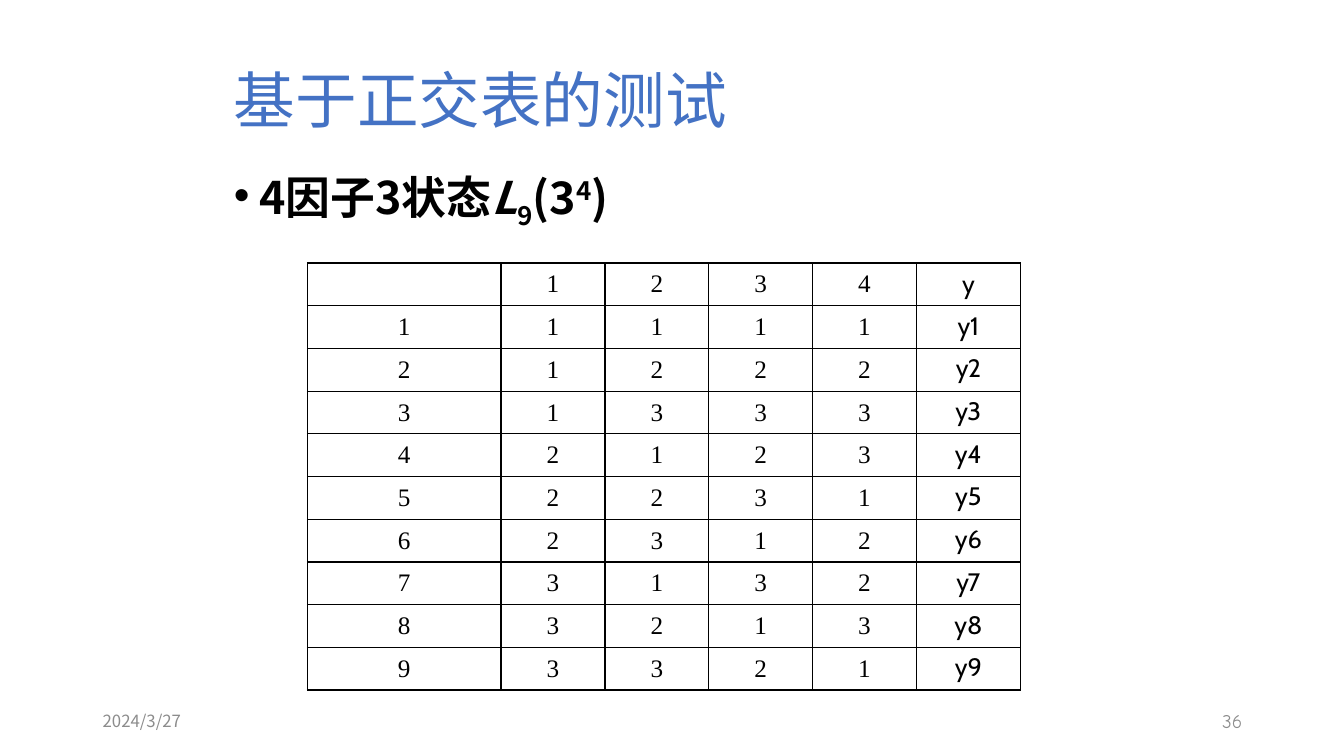
"""Build the slide on tests based on an orthogonal array."""
from lxml import etree
from pptx import Presentation, util as u
from pptx.dml.color import RGBColor
from pptx.enum import text as t
from pptx.oxml import ns

W, H = 13.33, 7.5
SANS, SERIF, LATIN = "Noto Sans CJK SC", "Times New Roman", "Cabin"
BLACK, BLUE, GREY = "000000", "4472C4", "8C8C8C"
TITLE = "基于正交表的测试"
POINT = [("4因子3状态", 0), ("L", 0), ("9", -25), ("(3", 0), ("4", 30), (")", 0)]
ARRAY = ["1111", "1222", "1333", "2123", "2231", "2312", "3132", "3213", "3321"]
ROWS = [["", *"1234", "y"]] + [
    [str(n), *row, f"y{n}"] for n, row in enumerate(ARRAY, 1)]
COLS = [1.92] + [1.03] * 5
ROW = 0.424
FOOT = [
    ("2024/3/27", 0.92, 12, SANS, t.PP_ALIGN.LEFT),
    ("36", 9.42, 13.7, "Comic Neue", t.PP_ALIGN.RIGHT),
]


def style(run, size, face, color, bold=False):
    font = run.font
    font.size, font.name, font.bold = u.Pt(size), face, bold
    font.color.rgb = RGBColor.from_string(color)
    east = etree.SubElement(run._r.get_or_add_rPr(), ns.qn("a:ea"))
    east.set("typeface", face)


def place(shape, x, y, w, h, anchor):
    shape.left, shape.top = u.Inches(x), u.Inches(y)
    shape.width, shape.height = u.Inches(w), u.Inches(h)
    frame = shape.text_frame
    frame.word_wrap = True
    frame.auto_size = t.MSO_AUTO_SIZE.NONE
    frame.vertical_anchor = anchor
    return frame.paragraphs[0]


def border(cell):
    props = cell._tc.get_or_add_tcPr()
    for side in ("lnL", "lnR", "lnT", "lnB"):
        line = etree.SubElement(props, ns.qn(f"a:{side}"), w="12700")
        fill = etree.SubElement(line, ns.qn("a:solidFill"))
        etree.SubElement(fill, ns.qn("a:srgbClr"), val=BLACK)


def add_head(slide):
    para = place(slide.shapes.title, 2.22, 0.55, 8.9, 0.86, t.MSO_ANCHOR.BOTTOM)
    para.text = TITLE
    para.alignment, para.line_spacing = t.PP_ALIGN.LEFT, 0.9
    style(para.runs[0], 44, SANS, BLUE)


def add_point(slide):
    para = place(slide.placeholders[1], 2.22, 1.64, 8.9, 4.56, t.MSO_ANCHOR.TOP)
    props = para._p.get_or_add_pPr()
    props.set("marL", str(u.Inches(0.25)))
    props.set("indent", str(u.Inches(-0.25)))
    etree.SubElement(props, ns.qn("a:buFont"), typeface="Arial")
    etree.SubElement(props, ns.qn("a:buChar"), char="•")
    para.line_spacing, para.space_before = 0.9, u.Pt(0)
    for words, shift in POINT:
        run = para.add_run()
        run.text = words
        style(run, 32, SANS, BLACK, True)
        run.font.italic = words == "L"
        if shift:
            run._r.get_or_add_rPr().set("baseline", str(shift * 1000))


def add_array(slide):
    grid = slide.shapes.add_table(
        len(ROWS), len(COLS), u.Inches(3.05), u.Inches(2.61),
        u.Inches(sum(COLS)), u.Inches(ROW * len(ROWS))).table
    grid.first_row = grid.horz_banding = False
    for col, wide in zip(grid.columns, COLS):
        col.width = u.Inches(wide)
    for r, row in enumerate(ROWS):
        grid.rows[r].height = u.Inches(ROW)
        for c, words in enumerate(row):
            cell = grid.cell(r, c)
            border(cell)
            cell.fill.background()
            last = c == len(COLS) - 1
            top = last and r > 0
            cell.vertical_anchor = t.MSO_ANCHOR.TOP if top else t.MSO_ANCHOR.MIDDLE
            para = cell.text_frame.paragraphs[0]
            para.text, para.alignment = words, t.PP_ALIGN.CENTER
            for run in para.runs:
                style(run, 18, LATIN if last else SERIF, BLACK)


def add_foot(slide):
    for words, x, size, face, align in FOOT:
        box = slide.shapes.add_textbox(0, 0, 0, 0)
        para = place(box, x, 6.95, 3, 0.4, t.MSO_ANCHOR.MIDDLE)
        para.text, para.alignment = words, align
        style(para.runs[0], size, face, GREY)


def main():
    deck = Presentation()
    deck.slide_width, deck.slide_height = u.Inches(W), u.Inches(H)
    slide = deck.slides.add_slide(deck.slide_layouts[1])
    add_head(slide)
    add_point(slide)
    add_array(slide)
    add_foot(slide)
    deck.save("out.pptx")


if __name__ == "__main__":
    main()
